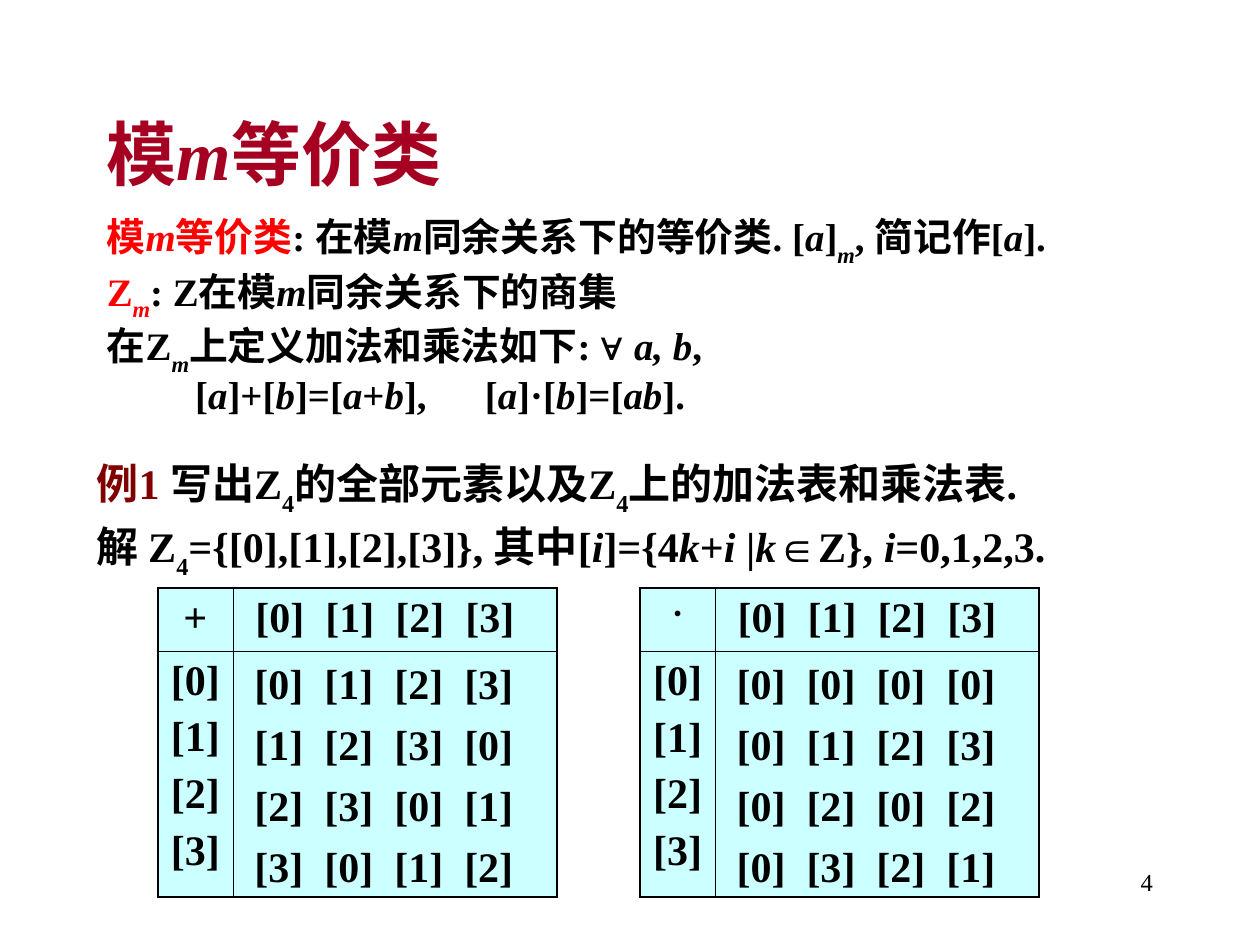
"""Build the slide on equivalence classes modulo m."""
import pptx
import pptx.dml.color
import pptx.enum.text
import pptx.oxml.ns
import pptx.util
from lxml import etree

Cm = pptx.util.Cm
Pt = pptx.util.Pt
RGBColor = pptx.dml.color.RGBColor
ALIGN = pptx.enum.text.PP_ALIGN
ANCHOR = pptx.enum.text.MSO_ANCHOR
FIT = pptx.enum.text.MSO_AUTO_SIZE

BLACK = RGBColor(0, 0, 0)
WINE = RGBColor(0xA5, 0x00, 0x21)
RED = RGBColor(0xFF, 0x00, 0x00)
BROWN = RGBColor(0x80, 0x00, 0x00)
CYAN = RGBColor(0xCC, 0xFF, 0xFF)
INKS = {"w": WINE, "r": RED, "b": BROWN}
SERIF = "Times New Roman"
PITCH = 1.41
GAP = 6
LABELS = ["[0]", "[1]", "[2]", "[3]"]

TITLE = [("模", "w"), ("m", "wi"), ("等价类", "w")]
BODY = [
    [("模", "r"), ("m", "ri"), ("等价类", "r"), (": 在模", ""), ("m", "i"),
     ("同余关系下的等价类. [", ""), ("a", "i"), ("]", ""), ("m", "is"),
     (", 简记作[", ""), ("a", "i"), ("].", "")],
    [("Z", "r"), ("m", "ris"), (": Z在模", ""), ("m", "i"),
     ("同余关系下的商集", "")],
    [("在Z", ""), ("m", "is"), ("上定义加法和乘法如下: ", ""), ("∀ ", "a"),
     ("a, b", "i"), (",", "")],
]
RULES = [("[", ""), ("a", "i"), ("]+[", ""), ("b", "i"), ("]=[", ""),
         ("a", "i"), ("+", ""), ("b", "i"), ("],\t[", ""), ("a", "i"),
         ("]·[", ""), ("b", "i"), ("]=[", ""), ("ab", "i"), ("].", "")]
TASK = [("例1 ", "b"), ("写出Z", ""), ("4", "s"), ("的全部元素以及Z", ""),
        ("4", "s"), ("上的加法表和乘法表.", "")]
ANSWER = [("解 Z", ""), ("4", "s"), ("={[0],[1],[2],[3]}, 其中[", ""),
          ("i", "i"), ("]={4", ""), ("k", "i"), ("+", ""), ("i ", "i"),
          ("|", ""), ("k", "i"), ("∈Z}, ", ""), ("i", "i"),
          ("=0,1,2,3.", "")]


def add_node(parent, tag, **attrs):
    """Append a drawing element to its parent."""
    node = etree.SubElement(parent, pptx.oxml.ns.qn(tag))
    for name, value in attrs.items():
        node.set(name, str(value))
    return node


def add_runs(para, runs, size, bold=True):
    """Add styled runs to a paragraph."""
    for text, style in runs:
        run = para.add_run()
        run.text = text
        font = run.font
        font.name = "Arial" if "a" in style else SERIF
        font.size = Pt(size)
        font.bold = bold
        font.italic = "i" in style
        font.color.rgb = next((INKS[k] for k in style if k in INKS), BLACK)
        if "s" in style:
            run.font._element.set("baseline", "-30000")


def set_plain(para, indent):
    """Drop the bullet and set the first-line indent."""
    props = para._p.get_or_add_pPr()
    props.set("marL", "0")
    props.set("indent", str(Cm(indent)))
    add_node(props, "a:buNone")


def next_para(frame, index):
    """Return the paragraph at an index, spaced from the one above."""
    para = frame.add_paragraph() if index else frame.paragraphs[0]
    para.space_before = Pt(GAP if index else 0)
    return para


def place(shape, left, top, width, height):
    """Move and size a shape in centimetres."""
    shape.left, shape.top = Cm(left), Cm(top)
    shape.width, shape.height = Cm(width), Cm(height)


def add_box(slide, left, top, width, height):
    """Add a wrapping text box and return its frame."""
    box = slide.shapes.add_textbox(Cm(left), Cm(top), Cm(width), Cm(height))
    box.text_frame.word_wrap = True
    return box.text_frame


def add_line(slide, runs, top):
    """Add one line of the worked example."""
    frame = add_box(slide, 1.7, top, 22, 1.45)
    add_runs(frame.paragraphs[0], runs, 24)


def fill_row(para, items):
    """Write evenly tabbed entries into a paragraph."""
    tabs = add_node(para._p.get_or_add_pPr(), "a:tabLst")
    for k in range(1, len(items)):
        add_node(tabs, "a:tab", pos=Cm(PITCH * k), algn="l")
    add_runs(para, [("\t".join(items), "")], 24)


def style_cell(cell, row, col):
    """Set the borders and fill of a table cell."""
    props = cell._tc.get_or_add_tcPr()
    outer = {"L": col == 0, "R": col == 1, "T": row == 0, "B": row == 1}
    for side, edge in outer.items():
        line = add_node(props, "a:ln" + side, w=Pt(1.08 if edge else 0.45))
        paint = add_node(line, "a:solidFill")
        add_node(paint, "a:srgbClr", val=BLACK)
    cell.fill.solid()
    cell.fill.fore_color.rgb = CYAN


def add_grid(slide, left, sign, size, rule):
    """Add an operation table with its results."""
    frame = slide.shapes.add_table(2, 2, Cm(left), Cm(11.86), Cm(8.05), Cm(6.22))
    table = frame.table
    table.first_row = table.horz_banding = False
    for col, width in enumerate((1.52, 6.53)):
        table.columns[col].width = Cm(width)
    for row, height in enumerate((1.27, 4.95)):
        table.rows[row].height = Cm(height)
        for col in range(2):
            style_cell(table.cell(row, col), row, col)
    head = table.cell(0, 0).text_frame.paragraphs[0]
    head.alignment = ALIGN.CENTER
    add_runs(head, [(sign, "")], size)
    top = table.cell(0, 1)
    top.margin_left = Cm(0.45)
    fill_row(top.text_frame.paragraphs[0], LABELS)
    side = table.cell(1, 0).text_frame
    for index, label in enumerate(LABELS):
        para = next_para(side, index)
        para.alignment = ALIGN.CENTER
        add_runs(para, [(label, "")], 24)
    values = add_box(slide, left + 1.7, 13.13, 6.3, 4.95)
    for i in range(4):
        items = [LABELS[rule(i, j) % 4] for j in range(4)]
        fill_row(next_para(values, i), items)


def fill_title(shape):
    """Write the slide title."""
    place(shape, 1.9, 1.7, 21.59, 2.74)
    frame = shape.text_frame
    frame.auto_size = FIT.NONE
    frame.vertical_anchor = ANCHOR.MIDDLE
    frame.paragraphs[0].alignment = ALIGN.LEFT
    add_runs(frame.paragraphs[0], TITLE, 40)


def fill_body(shape):
    """Write the definitions and the two rules."""
    place(shape, 1.9, 4.24, 21.59, 4.88)
    frame = shape.text_frame
    frame.auto_size = FIT.NONE
    for index, runs in enumerate(BODY + [RULES]):
        para = next_para(frame, index)
        last = runs is RULES
        set_plain(para, 1.78 if last else 0)
        para.alignment = ALIGN.LEFT if last else ALIGN.JUSTIFY
        para.line_spacing = 0.8
        add_runs(para, runs, 22.2)


def main():
    """Build and save the slide."""
    deck = pptx.Presentation()
    deck.slide_width, deck.slide_height = Cm(25.4), Cm(19.05)
    slide = deck.slides.add_slide(deck.slide_layouts[1])
    fill_title(slide.shapes.title)
    fill_body(slide.placeholders[1])
    add_grid(slide, 3.18, "+", 24, lambda i, j: i + j)
    add_grid(slide, 12.9, "·", 20, lambda i, j: i * j)
    add_line(slide, TASK, 9.1)
    add_line(slide, ANSWER, 10.37)
    number = add_box(slide, 18.2, 17.36, 5.29, 1.27).paragraphs[0]
    number.alignment = ALIGN.RIGHT
    add_runs(number, [("4", "")], 14, False)
    deck.save("out.pptx")


if __name__ == "__main__":
    main()
